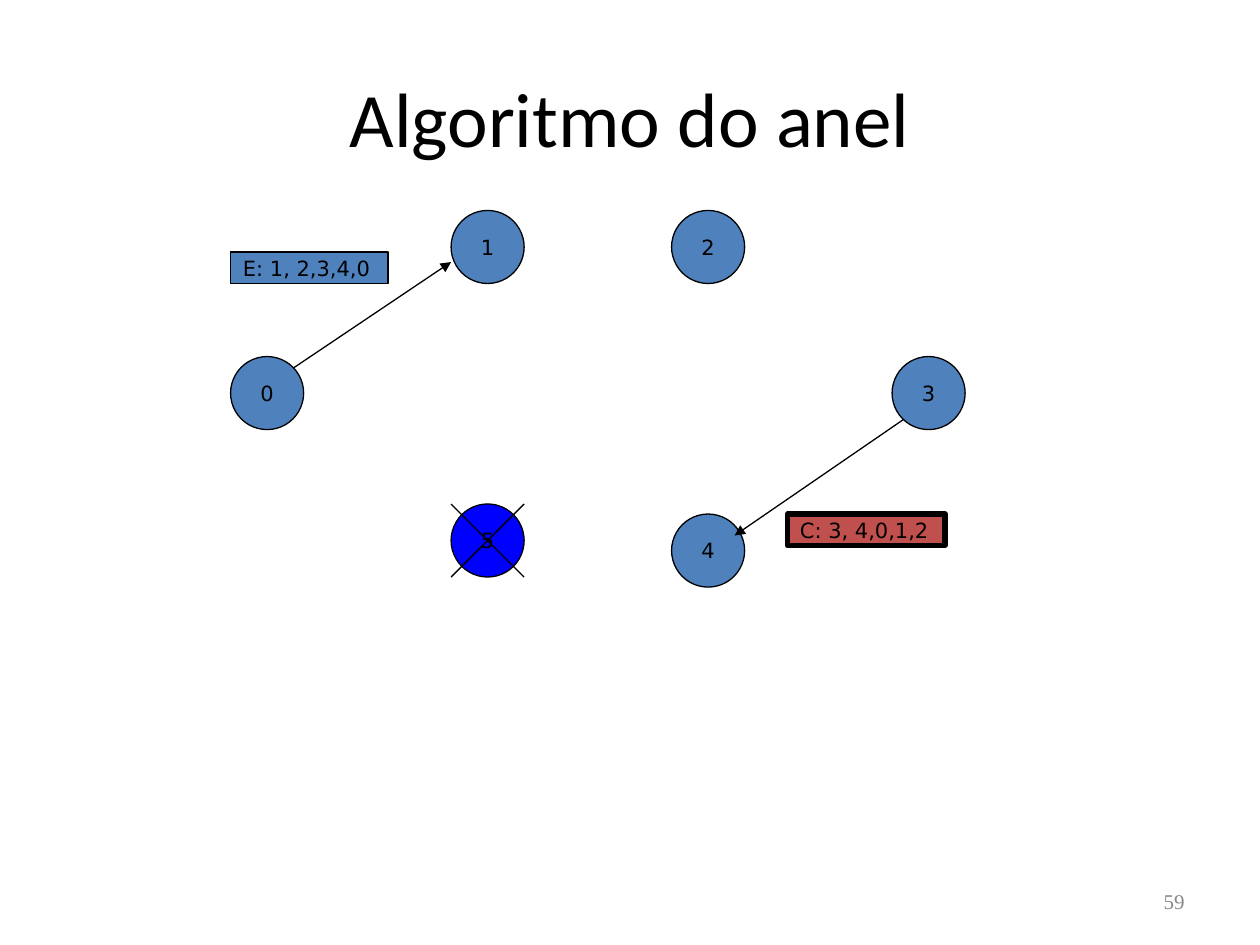
from lxml.etree import SubElement
from pptx import Presentation
from pptx.dml.color import RGBColor
from pptx.enum.shapes import MSO_CONNECTOR, MSO_SHAPE
from pptx.enum.text import MSO_ANCHOR, PP_ALIGN
from pptx.oxml.ns import qn
from pptx.util import Inches, Pt

BLACK = RGBColor(0, 0, 0)
GRAY = RGBColor(0x89, 0x89, 0x89)
STEEL = RGBColor(0x4F, 0x81, 0xBD)
BLUE = RGBColor(0, 0, 0xFF)
RED = RGBColor(0xC0, 0x50, 0x4D)
SIZE = 0.58


class Ring:
    def __init__(self, slide):
        self.slide = slide
        self.font = {"name": "DejaVu Sans", "size": Pt(12)}

    def fill_text(self, shape, text, align, color=BLACK, wrap=False, **extra):
        frame = shape.text_frame
        frame.word_wrap = wrap
        frame.vertical_anchor = MSO_ANCHOR.MIDDLE
        para = frame.paragraphs[0]
        para.alignment = align
        run = para.add_run()
        run.text = text
        for key, value in {**self.font, **extra}.items():
            setattr(run.font, key, value)
        run.font.color.rgb = color

    def label(self, text, place, align, **style):
        box = self.slide.shapes.add_textbox(*map(Inches, place))
        self.fill_text(box, text, align, wrap=True, **style)

    def shape(self, kind, text, place, fill, align, width=0.75):
        shape = self.slide.shapes.add_shape(kind, *map(Inches, place))
        shape.shadow.inherit = False
        shape.fill.solid()
        shape.fill.fore_color.rgb = fill
        shape.line.color.rgb = BLACK
        shape.line.width = Pt(width)
        self.fill_text(shape, text, align)

    def node(self, text, left, top, fill=STEEL):
        place = (left, top, SIZE, SIZE)
        self.shape(MSO_SHAPE.OVAL, text, place, fill, PP_ALIGN.CENTER)

    def note(self, text, left, top, fill, width=0.75):
        place = (left, top, 1.25, 0.25)
        self.shape(MSO_SHAPE.RECTANGLE, text, place, fill, PP_ALIGN.LEFT, width)

    def line(self, start, end, arrow=False):
        ends = map(Inches, (*start, *end))
        link = self.slide.shapes.add_connector(MSO_CONNECTOR.STRAIGHT, *ends)
        link.line.color.rgb = BLACK
        link.line.width = Pt(0.75)
        props = link._element.spPr
        if arrow:
            SubElement(props.find(qn("a:ln")), qn("a:tailEnd"), type="triangle")
        SubElement(props, qn("a:effectLst"))

    def cross(self, left, top):
        right, base = left + SIZE, top + SIZE
        self.line((left, base), (right, top))
        self.line((right, base), (left, top))


def main():
    deck = Presentation()
    deck.slide_width, deck.slide_height = Inches(10), Inches(7.5)
    ring = Ring(deck.slides.add_slide(deck.slide_layouts[6]))

    ring.label("Algoritmo do anel", (0.5, 0.3, 9, 1.25), PP_ALIGN.CENTER,
               name="Calibri", size=Pt(44))
    ring.label("59", (7.17, 6.95, 2.33, 0.4), PP_ALIGN.RIGHT,
               name="Times New Roman", color=GRAY)

    spots = [(1.83, 2.83), (3.58, 1.67), (5.33, 1.67), (7.08, 2.83), (5.33, 4.08)]
    for index, spot in enumerate(spots):
        ring.node(str(index), *spot)
    dead = (3.58, 4)
    ring.node("5", *dead, BLUE)
    ring.cross(*dead)

    ring.note("C: 3, 4,0,1,2", 6.25, 4.08, RED, 3)
    ring.line((7.17, 3.33), (5.83, 4.25), True)
    ring.note("E: 1, 2,3,4,0", 1.83, 2, STEEL)
    ring.line((2.33, 2.92), (3.58, 2.08), True)

    deck.save("out.pptx")


if __name__ == "__main__":
    main()
